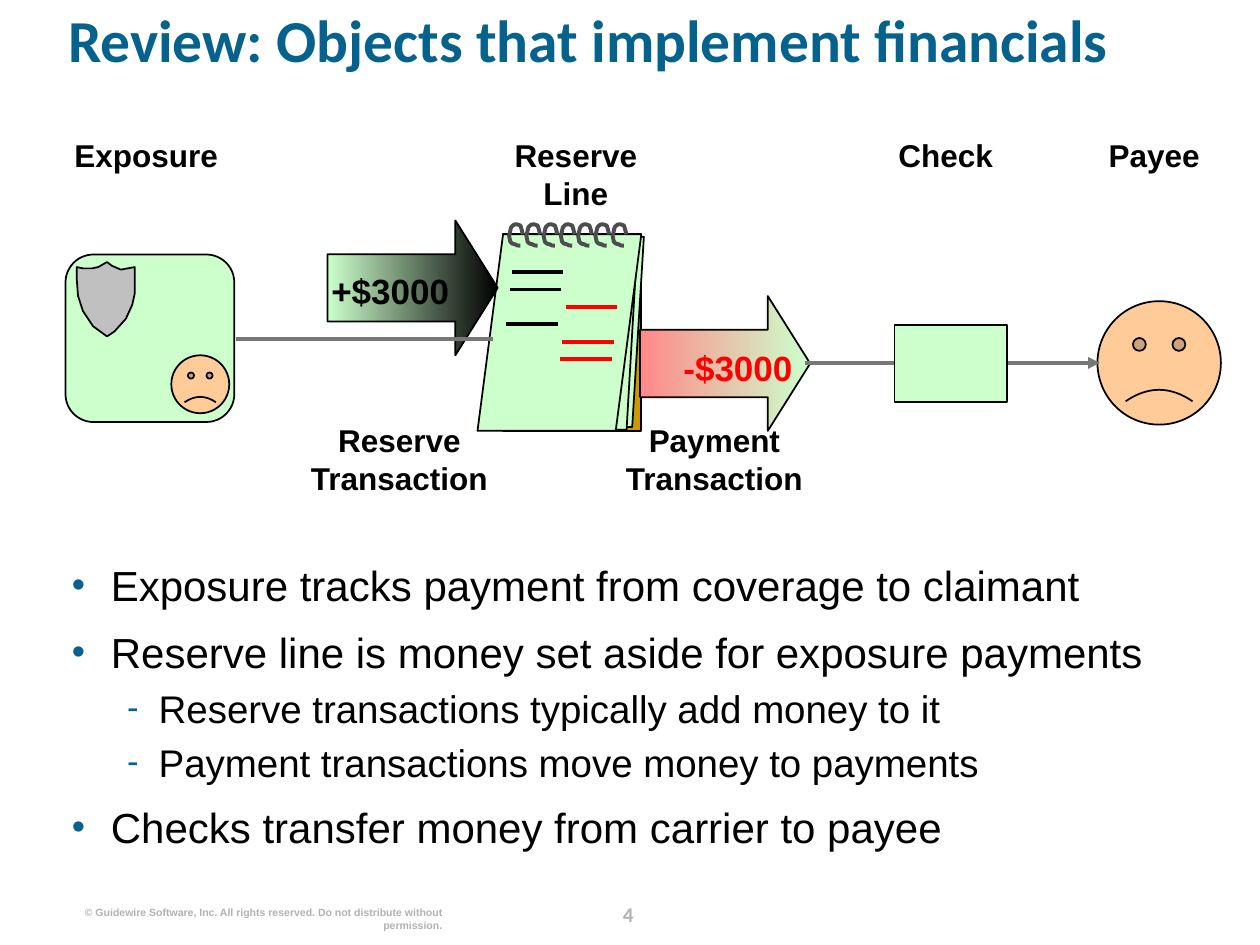
from lxml import etree
from pptx import Presentation
from pptx.dml.color import RGBColor
from pptx.enum.shapes import MSO_CONNECTOR, MSO_SHAPE
from pptx.enum.text import MSO_ANCHOR, PP_ALIGN
from pptx.oxml.ns import qn
from pptx.util import Inches, Pt

STRAIGHT = MSO_CONNECTOR.STRAIGHT
RECT = MSO_SHAPE.RECTANGLE
ROUNDED = MSO_SHAPE.ROUNDED_RECTANGLE
PARALLELOGRAM = MSO_SHAPE.PARALLELOGRAM
ARROW = MSO_SHAPE.RIGHT_ARROW
FACE = MSO_SHAPE.SMILEY_FACE
LEFT, CENTER, RIGHT = PP_ALIGN.LEFT, PP_ALIGN.CENTER, PP_ALIGN.RIGHT
TOP, MIDDLE = MSO_ANCHOR.TOP, MSO_ANCHOR.MIDDLE

COLORS = {
    "title": "04628C", "black": "000000", "red": "FF0000", "pink": "FF8989",
    "green": "CCFFCC", "gold": "CC9900", "skin": "FFCC99", "shield": "C0C0C0",
    "coil": "4D4D4D", "flow": "777777", "footer": "B2B2B2",
}
FROWN = -0.0465

SHIELD = [(0.85, 2.67), (0.74, 2.59), (0.66, 2.47), (0.62, 2.35), (0.61, 2.22),
          (0.61, 2.12), (0.66, 2.13), (0.73, 2.13), (0.78, 2.12), (0.85, 2.08),
          (0.89, 2.11), (0.96, 2.14), (1.07, 2.12), (1.07, 2.33), (1.05, 2.42),
          (1.0, 2.53), (0.91, 2.63)]

# Bezier points of one binding coil, relative to its corner
COIL = [(0.11, 0.08), (0.1, 0.05), (0.1, 0.03), (0.09, 0.01), (0.08, 0),
        (0.07, 0), (0.06, 0), (0.05, 0), (0.03, 0), (0.02, 0.02),
        (0.01, 0.03), (0.01, 0.07), (0, 0.09), (0, 0.11), (0, 0.12),
        (0.01, 0.14), (0.02, 0.15), (0.03, 0.16), (0.05, 0.16),
        (0.06, 0.17), (0.07, 0.17), (0.09, 0.17)]

BULLETS = [
    (0, "Exposure tracks payment from coverage to claimant"),
    (0, "Reserve line is money set aside for exposure payments"),
    (1, "Reserve transactions typically add money to it"),
    (1, "Payment transactions move money to payments"),
    (0, "Checks transfer money from carrier to payee"),
]
# Per level: bullet sign, left margin, hanging indent, size, space before
LEVELS = [("•", 0.31, 0.31, 24, 9.6), ("-", 0.69, 0.25, 22, 4.4)]

LABELS = [
    ("Exposure", 0.44, 1.08, 1.44), ("Reserve\nLine", 3.85, 1.08, 1.44),
    ("Check", 6.98, 1.08, 1.05), ("Payee", 8.6, 1.08, 1.12),
    ("Reserve Transaction", 2.45, 3.34, 1.44),
    ("Payment Transaction", 4.95, 3.34, 1.44),
]


def rgb(name):
    return RGBColor.from_string(COLORS[name])


def inches(*values):
    return [Inches(value) for value in values]


def set_font(paragraph, size, color, bold, name="Arial"):
    font = paragraph.font
    font.name, font.size, font.bold = name, Pt(size), bold
    font.color.rgb = rgb(color)


def add_frame(slide, box, anchor=TOP):
    frame = slide.shapes.add_textbox(*inches(*box)).text_frame
    frame.word_wrap = True
    frame.vertical_anchor = anchor
    frame.margin_left = frame.margin_right = 0
    frame.margin_top = frame.margin_bottom = 0
    return frame


def add_text(slide, text, box, size, color="black", align=CENTER,
             name="Arial", anchor=TOP):
    paragraph = add_frame(slide, box, anchor).paragraphs[0]
    paragraph.text = text
    paragraph.alignment = align
    set_font(paragraph, size, color, True, name)
    return paragraph


def style(shape, fill=None, line="black", width=1):
    shape.shadow.inherit = False
    if fill:
        shape.fill.solid()
        shape.fill.fore_color.rgb = rgb(fill)
    else:
        shape.fill.background()
    shape.line.color.rgb = rgb(line)
    shape.line.width = Pt(width)


def add_preset(slide, kind, box, fill, *adjustments):
    shape = slide.shapes.add_shape(kind, *inches(*box))
    for index, value in enumerate(adjustments):
        shape.adjustments[index] = value
    style(shape, fill)
    return shape


def add_outline(slide, points, close):
    corners = [inches(*point) for point in points]
    builder = slide.shapes.build_freeform(*corners[0])
    builder.add_line_segments(corners[1:], close=close)
    return builder.convert_to_shape()


def add_curve(slide, points):
    """Turn each three line segments into one Bezier segment."""
    shape = add_outline(slide, points, False)
    segments = list(shape._element.iter(qn("a:lnTo")))
    outline = segments[0].getparent()
    for i in range(0, len(segments), 3):
        curve = etree.SubElement(outline, qn("a:cubicBezTo"))
        for segment in segments[i:i + 3]:
            curve.append(segment[0])
            outline.remove(segment)
    return shape


def add_line(slide, start, end, color, arrow=False):
    line = slide.shapes.add_connector(STRAIGHT, *inches(*start, *end))
    line.line.color.rgb = rgb(color)
    line.line.width = Pt(2.25)
    if arrow:
        tail = etree.SubElement(line.line._get_or_add_ln(), qn("a:tailEnd"))
        tail.set("type", "triangle")
    etree.SubElement(line._element.spPr, qn("a:effectLst"))


def add_amount_arrow(slide, left, top, start, end):
    arrow = add_preset(slide, ARROW, (left, top, 1.35, 1.07), start, 0.5, 0.314)
    arrow.fill.gradient()
    arrow.fill.gradient_angle = 0
    for stop, color in zip(arrow.fill.gradient_stops, (start, end)):
        stop.color.rgb = rgb(color)


def add_notebook(slide):
    # Pages, from back to front
    add_preset(slide, RECT, (3.99, 1.86, 1.1, 1.56), "gold")
    for box, slant in (((3.92, 1.88, 1.19, 1.51), 0.078),
                       ((3.94, 1.9, 1.12, 1.51), 0.078),
                       ((3.79, 1.86, 1.3, 1.56), 0.156)):
        add_preset(slide, PARALLELOGRAM, box, "green", slant)
    # Binding coils
    for i in range(7):
        left = 4.04 + 0.137 * i
        coil = add_curve(slide, [(left + x, 1.78 + y) for x, y in COIL])
        style(coil, line="coil", width=2.25)
    # Entries follow the slant of the page
    for row, color in enumerate(("black", "black", "red", "black", "red", "red")):
        x = (4.06 if color == "black" else 4.52) - 0.015 * row
        y = 2.16 + 0.138 * row
        add_line(slide, (x, y), (x + 0.41, y), color)


def add_bullets(slide, box):
    frame = add_frame(slide, box)
    for i, (level, text) in enumerate(BULLETS):
        sign, margin, hanging, size, space = LEVELS[level]
        paragraph = frame.add_paragraph() if i else frame.paragraphs[0]
        paragraph.text = text
        paragraph.level = level
        if i:
            paragraph.space_before = Pt(space)
        props = paragraph._p.get_or_add_pPr()
        props.set("marL", str(Inches(margin)))
        props.set("indent", str(-Inches(hanging)))
        color = etree.SubElement(props, qn("a:buClr"))
        etree.SubElement(color, qn("a:srgbClr")).set("val", COLORS["title"])
        etree.SubElement(props, qn("a:buSzPct")).set("val", "90000")
        etree.SubElement(props, qn("a:buFont")).set("typeface", "Arial")
        etree.SubElement(props, qn("a:buChar")).set("char", sign)
        set_font(paragraph, size, "black", False)


def main():
    deck = Presentation()
    deck.slide_width, deck.slide_height = inches(10, 7.5)
    slide = deck.slides.add_slide(deck.slide_layouts[6])

    # Footer, title and body
    add_text(slide, "4", (4.7, 7.13, 0.57, 0.25), 12, "footer",
             name="Calibri", anchor=MIDDLE)
    add_text(slide, "© Guidewire Software, Inc. All rights reserved. "
             "Do not distribute without permission.",
             (0.61, 7.19, 2.9, 0.2), 6, "footer", RIGHT)
    title = add_text(slide, "Review: Objects that implement financials",
                     (0.54, 0.13, 9.1, 0.81), 34, "title", LEFT, "Calibri")
    title.line_spacing = 0.8
    add_bullets(slide, (0.57, 4.44, 9.1, 2.55))

    # Exposure and payee
    add_preset(slide, ROUNDED, (0.52, 2.02, 1.34, 1.33), "green", 0.167)
    style(add_outline(slide, SHIELD, True), "shield")
    add_preset(slide, FACE, (1.36, 2.82, 0.46, 0.46), "skin", FROWN)
    add_preset(slide, FACE, (8.71, 2.39, 0.98, 0.98), "skin", FROWN)

    # Reserve line with its transactions
    add_notebook(slide)
    add_amount_arrow(slide, 2.6, 1.75, "green", "black")
    add_text(slide, "+$3000", (2.63, 2.14, 1.07, 0.33), 20, align=LEFT)
    add_amount_arrow(slide, 5.08, 2.35, "pink", "green")
    add_text(slide, "-$3000", (5.18, 2.75, 1.11, 0.33), 20, "red", RIGHT)

    # Flow lines, with the check on top
    add_line(slide, (1.87, 2.69), (3.91, 2.69), "flow")
    add_line(slide, (6.39, 2.88), (8.73, 2.88), "flow", arrow=True)
    add_preset(slide, RECT, (7.1, 2.58, 0.89, 0.61), "green")

    for text, left, top, width in LABELS:
        height = 0.6 if len(text.split()) > 1 else 0.3
        add_text(slide, text, (left, top, width, height), 18)

    deck.save("out.pptx")


if __name__ == "__main__":
    main()
